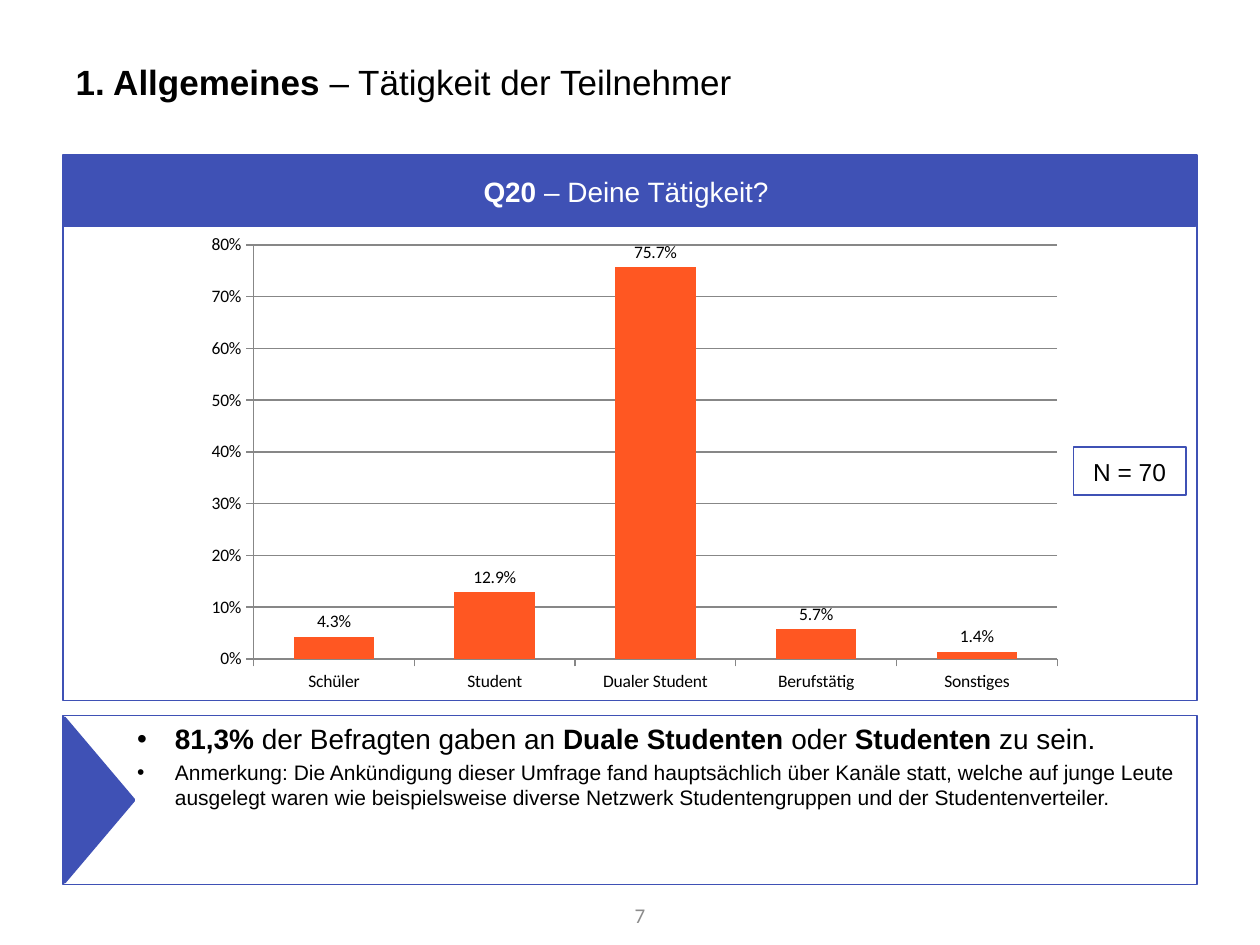
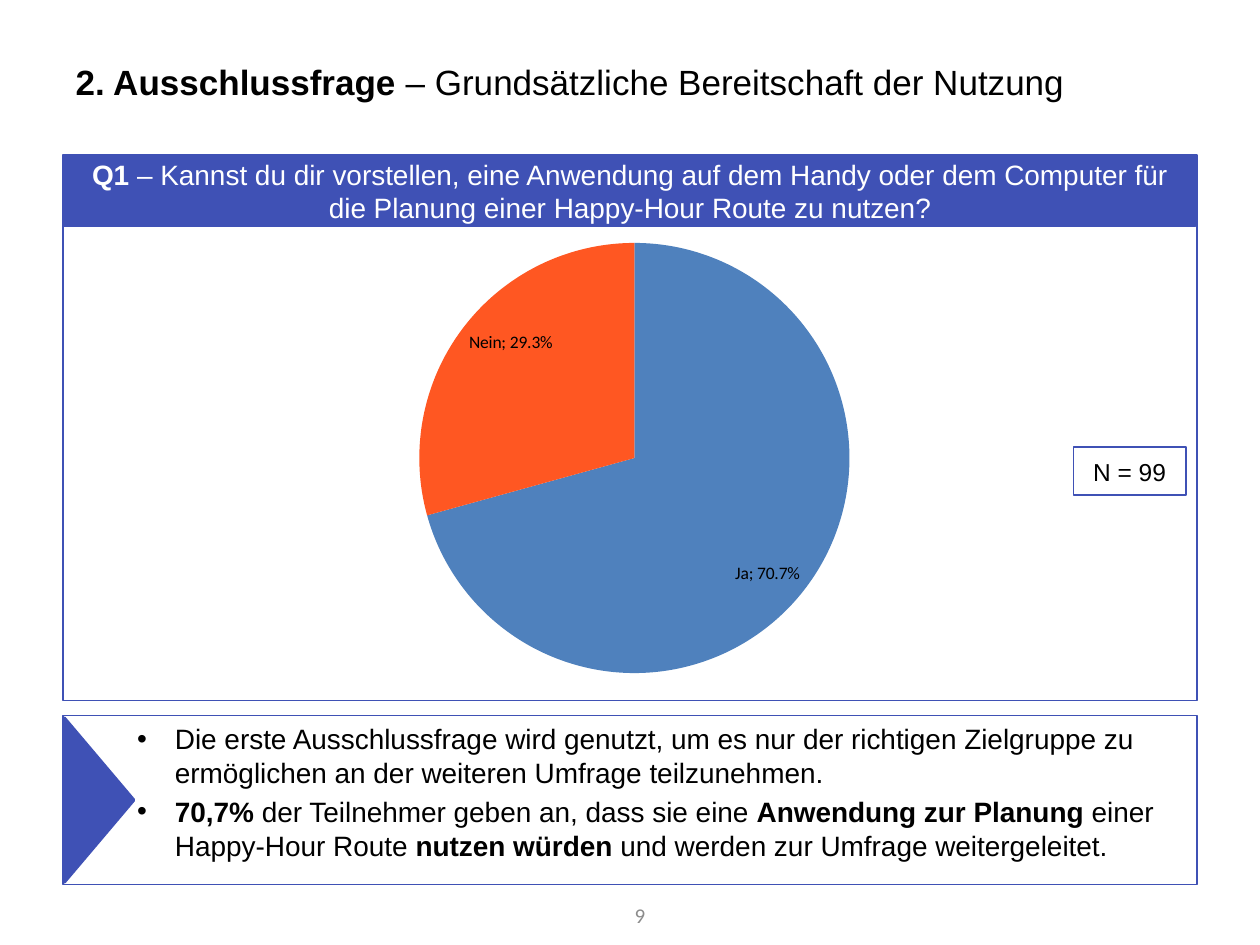
from pptx import Presentation, util as u
from pptx.chart.data import CategoryChartData
from pptx.dml.color import RGBColor
from pptx.enum import chart as ch, shapes, text
from pptx.oxml import parse_xml
from pptx.oxml.ns import nsdecls, qn

INDIGO, ORANGE, BLUE = "3F51B5", "FF5722", "4F81BD"
BLACK, WHITE, GREY, AXIS_GREY = "000000", "FFFFFF", "8C8C8C", "878787"

# Runs are (text, bold); findings are (size, runs).
SLIDES = [
    dict(
        number=7,
        title=[("1. Allgemeines ", True), ("– Tätigkeit der Teilnehmer", False)],
        question=[("Q20 ", True), ("– Deine Tätigkeit? ", False)],
        sample="N = 70",
        kind="column",
        answers={"Schüler": 0.043, "Student": 0.129, "Dualer Student": 0.757,
                 "Berufstätig": 0.057, "Sonstiges": 0.014},
        findings=[
            (16, [("81,3% ", True), ("der Befragten gaben an ", False),
                  ("Duale Studenten ", True), ("oder", False),
                  (" Studenten", True), (" zu sein.", False)]),
            (12, [("Anmerkung: Die Ankündigung dieser Umfrage fand hauptsächlich "
                   "über Kanäle statt, welche auf junge Leute ausgelegt waren wie "
                   "beispielsweise diverse Netzwerk Studentengruppen und der "
                   "Studentenverteiler.", False)]),
        ],
    ),
    dict(
        number=9,
        title=[("2. Ausschlussfrage ", True),
               ("– Grundsätzliche Bereitschaft der Nutzung", False)],
        question=[("Q1 ", True),
                  ("– Kannst du dir vorstellen, eine Anwendung auf dem Handy oder dem "
                   "Computer für die Planung einer Happy-Hour Route zu nutzen?", False)],
        sample="N = 99",
        kind="pie",
        answers={"Ja": 0.707, "Nein": 0.293},
        findings=[
            (16, [("Die erste Ausschlussfrage wird genutzt, um es nur der richtigen "
                   "Zielgruppe zu ermöglichen an der weiteren Umfrage teilzunehmen.",
                   False)]),
            (16, [("70,7%", True), (" der Teilnehmer geben an, dass sie eine ", False),
                  ("Anwendung zur Planung", True), (" einer Happy-Hour Route ", False),
                  ("nutzen würden ", True),
                  ("und werden zur Umfrage weitergeleitet.", False)]),
        ],
    ),
]

# Layout in inches: left, top, width, height
WIDTH, HEIGHT, MARGIN = 10, 7.5, 0.5
INNER = WIDTH - 2 * MARGIN
EDGE = 0.01
BAND = 0.55  # height of the question band and depth of the marker
TITLE = (MARGIN, 0.3, INNER, 0.69)
PANEL = (MARGIN, 1.23, INNER, 4.33)
QUESTION = (MARGIN + EDGE, PANEL[1] + EDGE, INNER - 2 * EDGE, BAND)
FINDINGS = (MARGIN, 5.68, INNER, 1.34)
SAMPLE = (8.52, 3.55, 0.89, 0.38)
NUMBER = (4.59, 7.06, 0.63, 0.4)
CHART_LEFT, CHART_TOP, CHART_WIDTH = 1.54, QUESTION[1] + BAND, 6.99
CHART_HEIGHT = {"column": 3.77, "pie": 3.69}


def rgb(hex_code):
    return RGBColor.from_string(hex_code)


def inches(box):
    return [u.Inches(length) for length in box]


def write(paragraph, runs, size, color=BLACK, face="Arial", align=text.PP_ALIGN.LEFT):
    paragraph.alignment = align
    for words, bold in runs:
        run = paragraph.add_run()
        run.text = words
        font = run.font
        font.size, font.bold, font.name = u.Pt(size), bold, face
        font.color.rgb = rgb(color)


def prepare(frame, anchor=text.MSO_ANCHOR.MIDDLE):
    frame.word_wrap = True
    frame.auto_size = text.MSO_AUTO_SIZE.NONE
    frame.vertical_anchor = anchor
    return frame.paragraphs[0]


def add_block(slide, box, fill=None, line=1, preset=shapes.MSO_SHAPE.RECTANGLE):
    block = slide.shapes.add_shape(preset, *inches(box))
    block.shadow.inherit = False
    if fill:
        block.fill.solid()
        block.fill.fore_color.rgb = rgb(fill)
    else:
        block.fill.background()
    block.line.color.rgb = rgb(INDIGO)
    block.line.width = u.Pt(line)
    return block


def add_findings(slide, findings):
    frame = add_block(slide, FINDINGS).text_frame
    paragraph = prepare(frame, text.MSO_ANCHOR.TOP)
    for index, (size, runs) in enumerate(findings):
        if index:
            paragraph = frame.add_paragraph()
            paragraph.space_before = u.Pt(size * 0.2)
        props = paragraph._p.get_or_add_pPr()
        props.set("marL", str(u.Inches(0.79)))
        props.set("indent", str(u.Inches(-0.3)))
        for bullet in ('<a:buFont %s typeface="Arial"/>', '<a:buChar %s char="•"/>'):
            props.append(parse_xml(bullet % nsdecls("a")))
        write(paragraph, runs, size)


def add_marker(slide):
    """Triangle turned to point right from the left edge of the findings."""
    left, top, _, height = FINDINGS
    span = height - 0.04
    center_x, center_y = left + EDGE + BAND / 2, top + height / 2
    marker = add_block(slide, (center_x - span / 2, center_y - BAND / 2, span, BAND),
                       INDIGO, 2, shapes.MSO_SHAPE.ISOSCELES_TRIANGLE)
    marker.rotation = 90


def style_columns(chart):
    chart.plots[0].gap_width = 100
    chart.plots[0].series[0].format.fill.solid()
    chart.plots[0].series[0].format.fill.fore_color.rgb = rgb(ORANGE)
    values = chart.value_axis
    values.minimum_scale, values.maximum_scale, values.major_unit = 0, 0.8, 0.1
    values.tick_labels.number_format = "0%"
    values.tick_labels.number_format_is_linked = False
    values.has_major_gridlines = True
    for axis in (values, chart.category_axis):
        axis.major_tick_mark = ch.XL_TICK_MARK.OUTSIDE
    for part in (values, chart.category_axis, values.major_gridlines):
        part.format.line.color.rgb = rgb(AXIS_GREY)
        part.format.line.width = u.Pt(0.75)


def style_pie(chart):
    series = chart.plots[0].series[0]
    for index, color in enumerate((BLUE, ORANGE)):
        fill = series.points[index].format.fill
        fill.solid()
        fill.fore_color.rgb = rgb(color)
    labels = series.data_labels
    labels.show_category_name = True
    labels.position = ch.XL_LABEL_POSITION.INSIDE_END
    separator = parse_xml("<c:separator %s>; </c:separator>" % nsdecls("c"))
    labels._element.find(qn("c:showBubbleSize")).addnext(separator)


CHARTS = {"column": (ch.XL_CHART_TYPE.COLUMN_CLUSTERED, style_columns),
          "pie": (ch.XL_CHART_TYPE.PIE, style_pie)}


def add_answers(slide, kind, answers):
    chart_type, style = CHARTS[kind]
    data = CategoryChartData(number_format="0.0%")
    data.categories = list(answers)
    data.add_series("Series 1", list(answers.values()))
    box = (CHART_LEFT, CHART_TOP, CHART_WIDTH, CHART_HEIGHT[kind])
    chart = slide.shapes.add_chart(chart_type, *inches(box), data).chart
    chart.has_title = chart.has_legend = False
    chart.font.size, chart.font.name = u.Pt(10), "Calibri"
    chart.font.color.rgb = rgb(BLACK)
    chart.plots[0].vary_by_categories = kind == "pie"
    labels = chart.plots[0].series[0].data_labels
    labels.show_value = True
    labels.number_format, labels.number_format_is_linked = "0.0%", False
    if kind == "column":
        labels.position = ch.XL_LABEL_POSITION.OUTSIDE_END
    style(chart)


def add_question_slide(deck, content):
    slide = deck.slides.add_slide(deck.slide_layouts[5])
    title = slide.shapes.title
    title.left, title.top, title.width, title.height = inches(TITLE)
    write(prepare(title.text_frame), content["title"], 20)

    add_findings(slide, content["findings"])
    add_marker(slide)
    add_block(slide, PANEL)
    center = text.PP_ALIGN.CENTER
    question = add_block(slide, QUESTION, INDIGO, 2)
    write(prepare(question.text_frame), content["question"], 16, WHITE, align=center)
    sample = add_block(slide, SAMPLE)
    write(prepare(sample.text_frame), [(content["sample"], False)], 14, align=center)
    number = slide.shapes.add_textbox(*inches(NUMBER))
    write(prepare(number.text_frame), [(str(content["number"]), False)], 12, GREY,
          "Calibri", text.PP_ALIGN.RIGHT)
    add_answers(slide, content["kind"], content["answers"])


def main():
    deck = Presentation()
    deck.slide_width, deck.slide_height = inches((WIDTH, HEIGHT))
    for content in SLIDES:
        add_question_slide(deck, content)
    deck.save("out.pptx")


if __name__ == "__main__":
    main()
